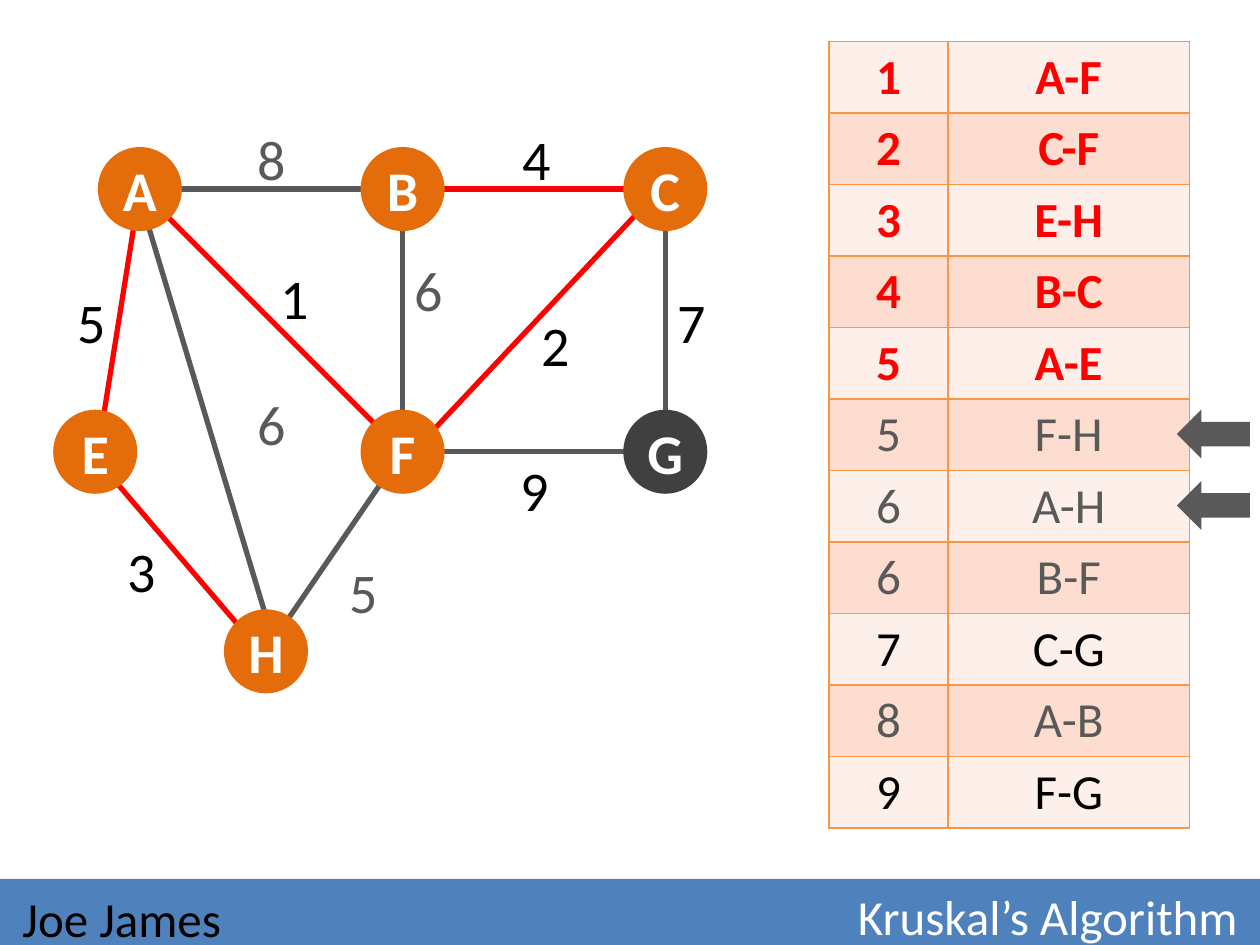
from collections import namedtuple

from lxml import etree
from pptx import Presentation
from pptx import util as u
from pptx.dml.color import RGBColor
from pptx.enum import shapes, text
from pptx.oxml.ns import qn

Box = namedtuple("Box", "left top width height")
PAGE = Box(0, 0, 10, 7.5)

RED, GREY, BLACK, WHITE = "FF0000", "595959", "000000", "FFFFFF"
ORANGE, CHARCOAL, BLUE, BORDER = "E46C0A", "404040", "4F81BD", "F79646"
BANDS = ("FDEFE9", "FCDDCF")

# Node centres in grid steps, counted from node A
NODES = {"A": (0, 0), "B": (1, 0), "C": (2, 0), "E": (-0.17, 1),
         "F": (1, 1), "G": (2, 1), "H": (0.48, 1.76)}
UNREACHED = {"G"}

# Edges in order of weight; state is tree, rejected or waiting.
# label: corner of the weight from the edge's middle, in steps
# shift: sideways move of the two ends, in steps
Edge = namedtuple("Edge", "ends weight state label shift", defaults=[(0, 0)])
EDGES = [
    Edge("A-F", 1, "tree", (-0.01, -0.24)),
    Edge("C-F", 2, "tree", (-0.02, -0.06), (-0.02, 0.04)),
    Edge("E-H", 3, "tree", (-0.25, -0.08), (-0.02, -0.02)),
    Edge("B-C", 4, "tree", (-0.09, -0.27)),
    Edge("A-E", 5, "tree", (-0.2, -0.15), (0, 0.01)),
    Edge("F-H", 5, "rejected", (0.01, 0)),
    Edge("A-H", 6, "rejected", (0.16, -0.14), (-0.01, 0.04)),
    Edge("B-F", 6, "rejected", (0, -0.27)),
    Edge("C-G", 7, "waiting", (0, -0.15)),
    Edge("A-B", 8, "rejected", (-0.1, -0.27)),
    Edge("F-G", 9, "waiting", (-0.1, -0.01)),
]
ROW_COLOR = {"tree": RED, "rejected": GREY, "waiting": BLACK}
MARKED_ROWS = ("F-H", "A-H")


def color(hex_string):
    return RGBColor.from_string(hex_string)


def inches(*lengths):
    return [u.Inches(length) for length in lengths]


def write(frame, words, size=32, ink=BLACK, bold=False, align="LEFT",
          anchor=None, inset=None, wrap=True):
    frame.word_wrap = wrap
    if anchor:
        frame.vertical_anchor = getattr(text.MSO_ANCHOR, anchor)
    if inset is not None:
        frame.margin_left = frame.margin_right = u.Inches(inset)
        frame.margin_top = frame.margin_bottom = u.Inches(inset)
    line = frame.paragraphs[0]
    line.alignment = getattr(text.PP_ALIGN, align)
    run = line.add_run()
    run.text = str(words)
    run.font.name, run.font.size, run.font.bold = "Calibri", u.Pt(size), bold
    run.font.color.rgb = color(ink)


def add_label(slide, box, words, **form):
    write(slide.shapes.add_textbox(*inches(*box)).text_frame, words, **form)


def add_solid(slide, preset, box, fill):
    solid = slide.shapes.add_shape(preset, *inches(*box))
    solid.shadow.inherit = False
    solid.fill.solid()
    solid.fill.fore_color.rgb = color(fill)
    solid.line.fill.background()
    return solid


def add_edge_line(slide, start, end, ink):
    edge_line = slide.shapes.add_connector(
        shapes.MSO_CONNECTOR.STRAIGHT, *inches(*start, *end))
    edge_line.line.color.rgb = color(ink)
    edge_line.line.width = u.Pt(3)
    etree.SubElement(edge_line._element.spPr, qn("a:effectLst"))


def add_cell_borders(cell, ink, points):
    props = cell._tc.get_or_add_tcPr()
    for place, side in enumerate(("a:lnL", "a:lnR", "a:lnT", "a:lnB")):
        border = etree.Element(qn(side), w=str(u.Pt(points)))
        fill = etree.SubElement(border, qn("a:solidFill"))
        etree.SubElement(fill, qn("a:srgbClr"), val=ink)
        props.insert(place, border)


def draw_footer(slide, box):
    add_solid(slide, shapes.MSO_SHAPE.RECTANGLE, box, BLUE)
    margin, split, depth = 0.08, 0.3 * box.width, 1.13 * box.height
    add_label(slide, (box.left + split, box.top, box.width - split - margin, depth),
              "Kruskal’s Algorithm", size=28, ink=WHITE, align="RIGHT", anchor="MIDDLE")
    add_label(slide, (box.left + margin, box.top, split - margin, depth + 0.02),
              "Joe James", size=28, anchor="MIDDLE")


def draw_graph(slide, box):
    """The box spans the centres of A, C and G; its width is two steps."""
    step = box.width / 2
    diameter = 0.32 * step

    def point(column, row):
        return box.left + column * step, box.top + row * step

    # Edges
    for edge in EDGES:
        ends = [point(NODES[name][0] + move, NODES[name][1])
                for name, move in zip(edge.ends.split("-"), edge.shift)]
        add_edge_line(slide, *ends, RED if edge.state == "tree" else GREY)

    # Nodes
    for name, place in NODES.items():
        x, y = point(*place)
        node = add_solid(slide, shapes.MSO_SHAPE.OVAL,
                         (x - diameter / 2, y - diameter / 2, diameter, diameter),
                         CHARCOAL if name in UNREACHED else ORANGE)
        write(node.text_frame, name, ink=WHITE, bold=True, align="CENTER",
              anchor="MIDDLE", inset=0, wrap=False)

    # Weights
    for edge in EDGES:
        first, last = (NODES[name] for name in edge.ends.split("-"))
        corner = point(*((a + b) / 2 + move
                         for a, b, move in zip(first, last, edge.label)))
        add_label(slide, (*corner, 0.98, 0.64), edge.weight,
                  ink=GREY if edge.state == "rejected" else BLACK)


def draw_edge_table(slide, box):
    row_height = box.height / len(EDGES)
    table = slide.shapes.add_table(len(EDGES), 2, *inches(*box)).table
    table.first_row = table.horz_banding = False
    for column, share in zip(table.columns, (0.33, 0.67)):
        column.width = u.Inches(share * box.width)
    for index, edge in enumerate(EDGES):
        table.rows[index].height = u.Inches(row_height)
        for cell, words in zip(table.rows[index].cells, (edge.weight, edge.ends)):
            cell.fill.solid()
            cell.fill.fore_color.rgb = color(BANDS[index % 2])
            add_cell_borders(cell, BORDER, 1)
            write(cell.text_frame, words, size=28, ink=ROW_COLOR[edge.state],
                  bold=edge.state == "tree", align="CENTER")

    # Arrows pointing at the marked rows
    width, height = 0.58, 0.39
    for index, edge in enumerate(EDGES):
        if edge.ends in MARKED_ROWS:
            middle = box.top + (index + 0.5) * row_height
            arrow = add_solid(
                slide, shapes.MSO_SHAPE.RIGHT_ARROW,
                (box.left + box.width - 0.1, middle - height / 2, width, height), GREY)
            arrow.rotation = 180


def main():
    deck = Presentation()
    deck.slide_width, deck.slide_height = inches(PAGE.width, PAGE.height)
    slide = deck.slides.add_slide(deck.slide_layouts[6])
    draw_footer(slide, Box(0, 0.93 * PAGE.height, PAGE.width, 0.07 * PAGE.height))
    draw_graph(slide, Box(1.11, 0.2 * PAGE.height, 4.17, 2.08))
    draw_edge_table(slide, Box(6.58, 0.33, 2.86, 6.23))
    deck.save("out.pptx")


if __name__ == "__main__":
    main()
